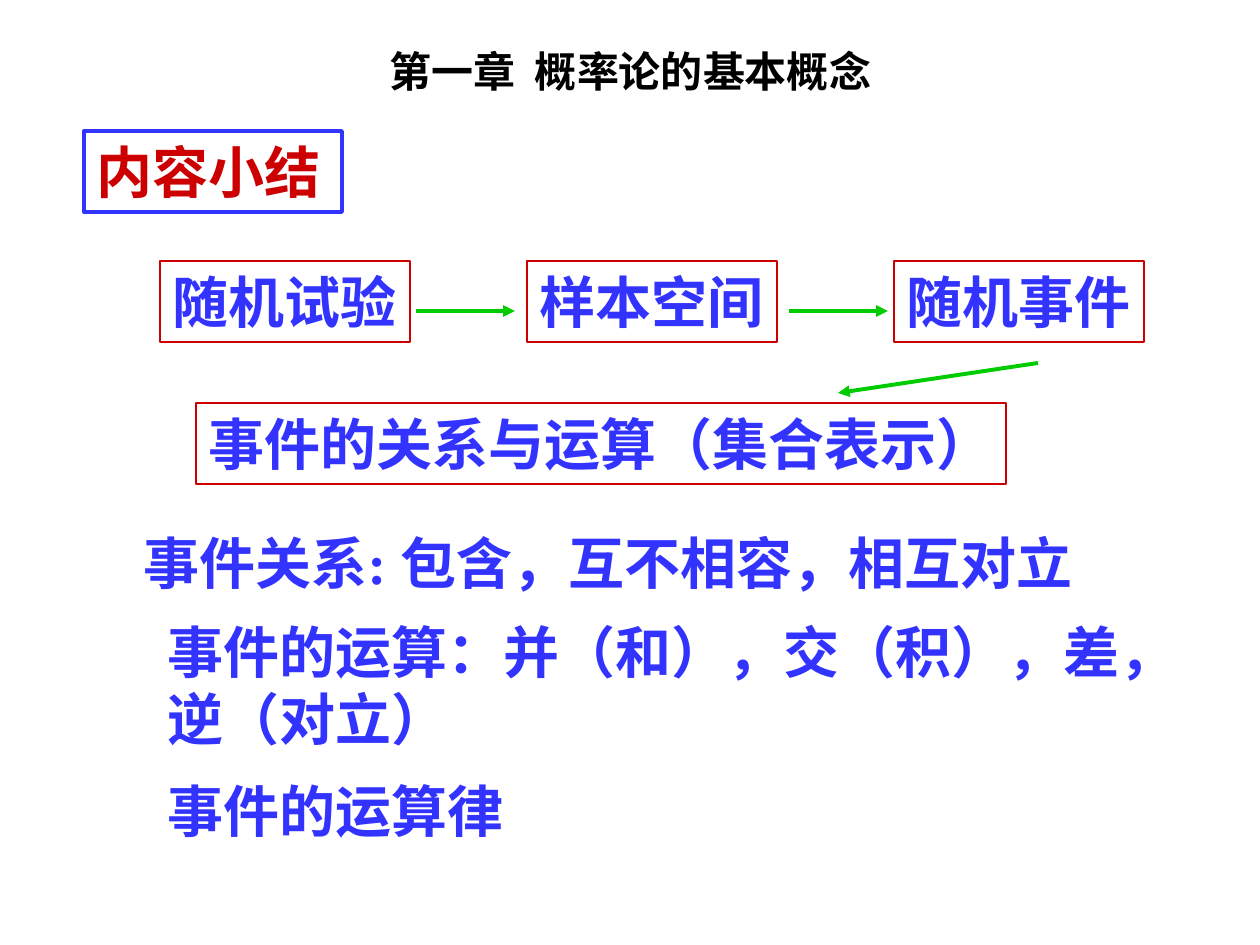
import pptx
import pptx.util
import pptx.dml.color
import pptx.enum.shapes
import pptx.enum.text
import pptx.oxml.ns
import lxml.etree

PX = pptx.util.Inches(1) // 126
BLUE = pptx.dml.color.RGBColor(0x33, 0x33, 0xFF)
RED = pptx.dml.color.RGBColor(0xCC, 0x00, 0x00)
GREEN = pptx.dml.color.RGBColor(0x00, 0xCC, 0x00)
BLACK = pptx.dml.color.RGBColor(0x00, 0x00, 0x00)
SANS = "Noto Sans CJK SC"
SERIF = "Times New Roman"
ANCHOR = pptx.enum.text.MSO_ANCHOR
ALIGN = pptx.enum.text.PP_ALIGN
FIT = pptx.enum.text.MSO_AUTO_SIZE
STEP_TOP, STEP_WIDTH, BOX_HEIGHT = 261, 250, 81


def set_values(target, values):
    """Set every named attribute of the target."""
    for name, value in values.items():
        setattr(target, name, value)


def fill_text(box, lines, font, frame_format, align=ALIGN.LEFT):
    """Write one paragraph per line into the box."""
    frame = box.text_frame
    set_values(frame, frame_format)
    for index, line in enumerate(lines):
        para = frame.add_paragraph() if index else frame.paragraphs[0]
        para.alignment = align
        span = para.add_run()
        span.text = line
        set_values(span.font, {"name": font["name"], "size": pptx.util.Pt(font["size"]), "bold": True})
        span.font.color.rgb = font["color"]


def add_frame(page, place, text, font, edge, width, wrap=False):
    """Add an unfilled rectangle with a coloured edge and text."""
    box = page.shapes.add_shape(
        pptx.enum.shapes.MSO_SHAPE.RECTANGLE, *(value * PX for value in place))
    box.shadow.inherit = False
    box.fill.background()
    box.line.color.rgb = edge
    box.line.width = pptx.util.Pt(width)
    fill_text(box, [text], font, {
        "word_wrap": wrap, "auto_size": FIT.SHAPE_TO_FIT_TEXT, "vertical_anchor": ANCHOR.TOP})


def add_label(page, place, lines, font, frame_format, align=ALIGN.LEFT):
    """Add a plain text box."""
    box = page.shapes.add_textbox(*(value * PX for value in place))
    fill_text(box, lines, font, frame_format, align)


def add_arrow(page, start, end):
    """Add a green line with a triangle at its end."""
    arrow = page.shapes.add_connector(
        pptx.enum.shapes.MSO_CONNECTOR.STRAIGHT, *(value * PX for value in start + end))
    arrow.line.color.rgb = GREEN
    arrow.line.width = pptx.util.Pt(2.25)
    qn = pptx.oxml.ns.qn
    lxml.etree.SubElement(arrow.line._get_or_add_ln(), qn("a:tailEnd"), type="triangle")
    lxml.etree.SubElement(arrow._element.spPr, qn("a:effectLst"))


def main():
    """Build the chapter summary slide."""
    deck = pptx.Presentation()
    set_values(deck, {"slide_width": 1260 * PX, "slide_height": 945 * PX})
    page = deck.slides.add_slide(deck.slide_layouts[6])
    body = {"name": SERIF, "size": 32, "color": BLUE}

    add_label(page, (95, 55, 1071, 32), ["第一章  概率论的基本概念"],
              {"name": SANS, "size": 24, "color": BLACK},
              {"word_wrap": True, "vertical_anchor": ANCHOR.MIDDLE}, ALIGN.CENTER)
    add_frame(page, (84, 131, 258, BOX_HEIGHT), "内容小结",
              {"name": SANS, "size": 32, "color": RED}, BLUE, 2.25, True)

    for index, step in enumerate(("随机试验", "样本空间", "随机事件")):
        add_frame(page, (160 + 367 * index, STEP_TOP, STEP_WIDTH, BOX_HEIGHT), step, body, RED, 1.5)
    add_frame(page, (196, 403, 810, BOX_HEIGHT), "事件的关系与运算（集合表示）", body, RED, 1.5)

    for start, end in (((416, 311), (515, 311)), ((789, 311), (888, 311)), ((1038, 363), (838, 393))):
        add_arrow(page, start, end)

    notes = (
        ((131, 522, 982, BOX_HEIGHT), ["事件关系: 包含，互不相容，相互对立"]),
        ((155, 611, 1034, 147), ["事件的运算：并（和），交（积），差，", "逆（对立）"]),
        ((155, 770, 362, BOX_HEIGHT), ["事件的运算律"]),
    )
    for place, lines in notes:
        add_label(page, place, lines, body,
                  {"word_wrap": False, "auto_size": FIT.SHAPE_TO_FIT_TEXT})

    deck.save("out.pptx")


if __name__ == "__main__":
    main()
